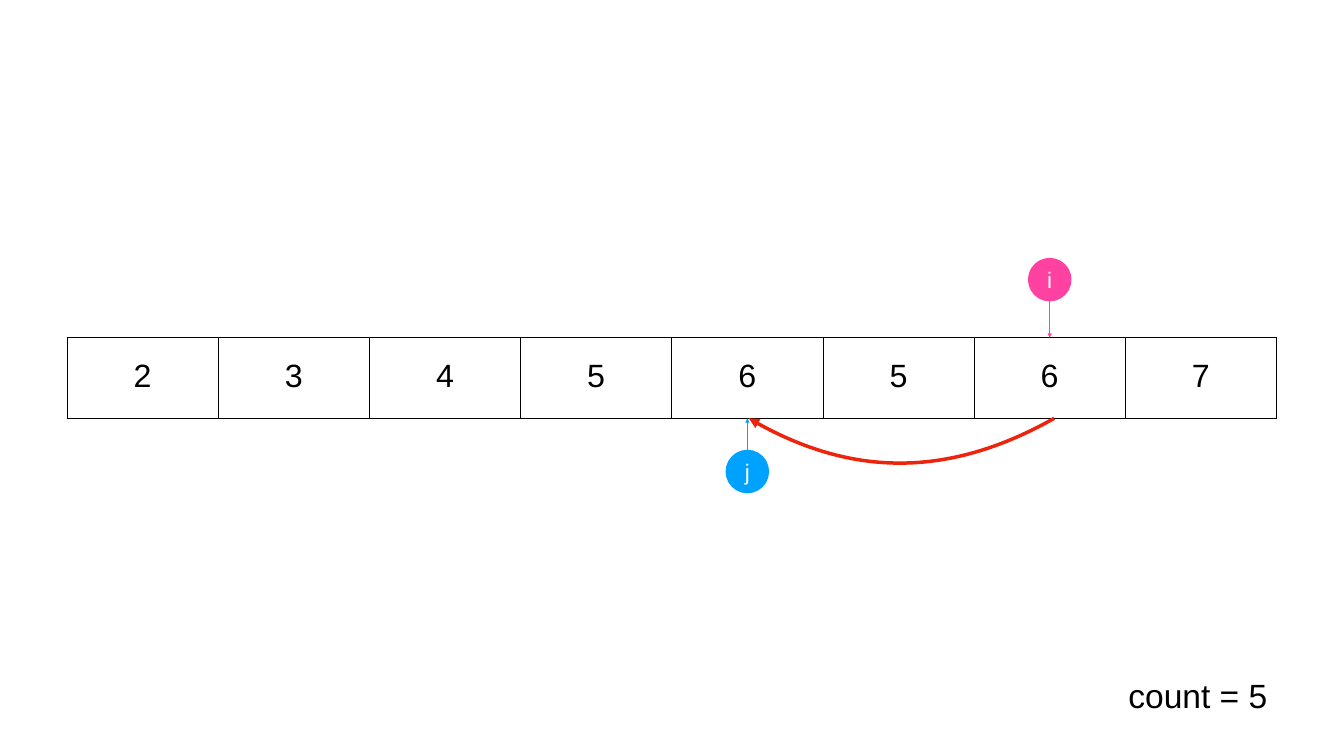
"""Draw an array of eight cells with two index pointers and a copy arrow."""
from dataclasses import dataclass

from pptx import Presentation
from pptx.dml.color import RGBColor
from pptx.enum.shapes import MSO_CONNECTOR, MSO_SHAPE
from pptx.enum.text import MSO_ANCHOR, MSO_AUTO_SIZE, PP_ALIGN
from pptx.oxml.ns import qn
from pptx.util import Inches, Pt
from lxml.etree import SubElement


@dataclass(frozen=True)
class Theme:
    font: str = "Arial"
    ink: str = "000000"
    paper: str = "FFFFFF"
    pink: str = "FF42A1"
    blue: str = "00A2FF"
    red: str = "EE230C"
    value_size: int = 46
    pointer_size: int = 32
    count_size: int = 48
    border: float = 1
    pointer_line: float = 2
    copy_line: float = 5


@dataclass(frozen=True)
class Grid:
    left: float = 1.33
    top: float = 6.7
    column: float = 3
    row: float = 1.6

    def x(self, columns: float) -> int:
        return Inches(self.left + columns * self.column)

    def y(self, rows: float) -> int:
        return Inches(self.top + rows * self.row)

    def width(self, columns: float) -> int:
        return Inches(columns * self.column)

    def height(self, rows: float) -> int:
        return Inches(rows * self.row)


@dataclass(frozen=True)
class Pointer:
    name: str
    color: str
    index: int
    center_row: float
    target_row: float


THEME = Theme()
GRID = Grid()
VALUES = (2, 3, 4, 5, 6, 5, 6, 7)
POINTERS = (
    Pointer("i", THEME.pink, 6, -0.72, 0),
    Pointer("j", THEME.blue, 4, 1.66, 1),
)
DIAMETER = 0.54
COPY_CURVE = ((4.51, 1), (5.17, 1.73), (5.84, 1.73), (6.53, 1))
INSET = Inches(0.06)
MARGINS = dict.fromkeys(
    ("margin_left", "margin_right", "margin_top", "margin_bottom"), INSET
)


def apply(target, values: dict) -> None:
    for name, value in values.items():
        setattr(target, name, value)


def write(frame, text: str, size: int, color: str, align=PP_ALIGN.CENTER, spacing=None) -> None:
    paragraph = frame.paragraphs[0]
    paragraph.text = text
    apply(paragraph, {"alignment": align, "line_spacing": spacing})
    apply(paragraph.font, {"name": THEME.font, "size": Pt(size)})
    paragraph.font.color.rgb = RGBColor.from_string(color)


def stroke(shape, color: str, width: float, end: str) -> None:
    shape.line.color.rgb = RGBColor.from_string(color)
    shape.line.width = Pt(width)
    SubElement(shape.line._get_or_add_ln(), qn(f"a:{end}"), type="triangle")


def outline(cell) -> None:
    properties = cell._tc.get_or_add_tcPr()
    for position, side in enumerate(("lnL", "lnR", "lnT", "lnB")):
        edge = SubElement(properties, qn(f"a:{side}"), w=str(Pt(THEME.border)))
        properties.insert(position, edge)
        SubElement(SubElement(edge, qn("a:solidFill")), qn("a:srgbClr"), val=THEME.ink)


def draw_array(shapes) -> None:
    columns = len(VALUES)
    array = shapes.add_table(
        1, columns, GRID.x(0), GRID.y(0), GRID.width(columns), GRID.height(1)
    ).table
    apply(array, {"first_row": False, "horz_banding": False})
    for cell, value in zip(array.iter_cells(), VALUES):
        apply(cell, {**MARGINS, "vertical_anchor": MSO_ANCHOR.MIDDLE})
        cell.fill.background()
        write(cell.text_frame, str(value), THEME.value_size, THEME.ink, spacing=0.9)
        outline(cell)


def draw_pointer(shapes, pointer: Pointer) -> None:
    center_x, center_y = GRID.x(pointer.index + 0.5), GRID.y(pointer.center_row)
    side = GRID.height(DIAMETER)
    disc = shapes.add_shape(
        MSO_SHAPE.OVAL, center_x - side // 2, center_y - side // 2, side, side
    )
    disc.shadow.inherit = False
    disc.fill.solid()
    disc.fill.fore_color.rgb = RGBColor.from_string(pointer.color)
    disc.line.fill.background()
    apply(disc.text_frame, {**MARGINS, "vertical_anchor": MSO_ANCHOR.MIDDLE})
    write(disc.text_frame, pointer.name, THEME.pointer_size, THEME.paper)
    toward = 1 if pointer.target_row > pointer.center_row else -1
    arrow = shapes.add_connector(
        MSO_CONNECTOR.STRAIGHT, center_x, center_y + toward * side // 2,
        center_x, GRID.y(pointer.target_row),
    )
    stroke(arrow, pointer.color, THEME.pointer_line, "tailEnd")
    SubElement(arrow._element.spPr, qn("a:effectLst"))


def draw_copy_arrow(shapes) -> None:
    start, *controls = [(GRID.x(column), GRID.y(row)) for column, row in COPY_CURVE]
    builder = shapes.build_freeform(*start)
    builder.add_line_segments(controls, close=False)
    curve = builder.convert_to_shape()
    segments = curve._element.xpath(".//a:lnTo")
    bezier = SubElement(segments[0].getparent(), qn("a:cubicBezTo"))
    for segment in segments:
        bezier.append(segment[0])
        segment.getparent().remove(segment)
    curve.shadow.inherit = False
    curve.fill.background()
    stroke(curve, THEME.red, THEME.copy_line, "headEnd")


def draw_count(shapes) -> None:
    count = shapes.add_textbox(GRID.x(7), GRID.y(4.16), GRID.width(1.04), GRID.height(0.61))
    apply(count.text_frame, {
        **MARGINS,
        "vertical_anchor": MSO_ANCHOR.MIDDLE,
        "word_wrap": False,
        "auto_size": MSO_AUTO_SIZE.SHAPE_TO_FIT_TEXT,
    })
    write(count.text_frame, "count = 5", THEME.count_size, THEME.ink, PP_ALIGN.LEFT, 0.9)


def main() -> None:
    deck = Presentation()
    apply(deck, {"slide_width": Inches(26.67), "slide_height": Inches(15)})
    shapes = deck.slides.add_slide(deck.slide_layouts[6]).shapes
    draw_array(shapes)
    for pointer in POINTERS:
        draw_pointer(shapes, pointer)
    draw_copy_arrow(shapes)
    draw_count(shapes)
    deck.save("out.pptx")


if __name__ == "__main__":
    main()
